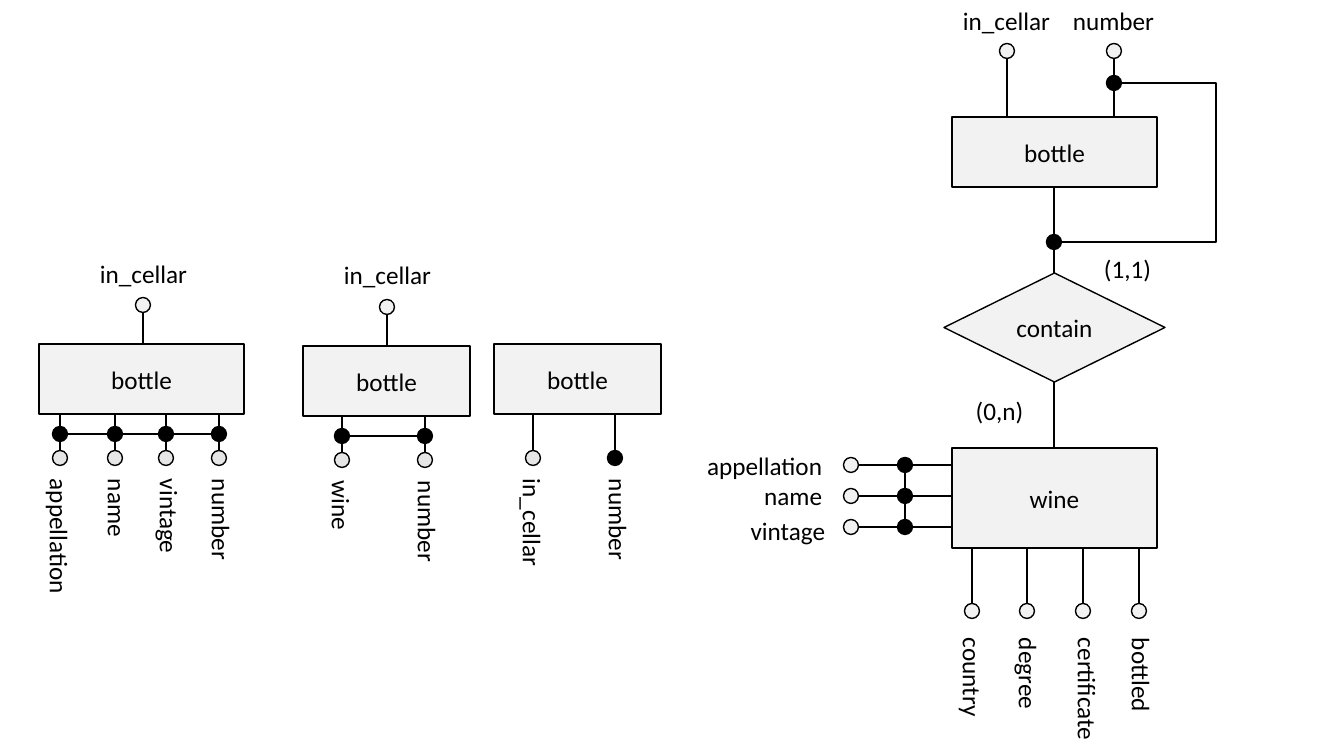
import math
from dataclasses import dataclass, field

from lxml import etree
from pptx import Presentation
from pptx import util as u
from pptx.dml.color import RGBColor
from pptx.enum import shapes, text
from pptx.oxml.ns import qn

EMU_PER_PIXEL = 914400 / 100.8
DOT = 15
LABEL_HEIGHT = 40
Point = tuple[int, int]
CENTER, LEFT, RIGHT = text.PP_ALIGN.CENTER, text.PP_ALIGN.LEFT, text.PP_ALIGN.RIGHT
RECT = shapes.MSO_SHAPE.RECTANGLE
DIAMOND = shapes.MSO_SHAPE.FLOWCHART_DECISION
OVAL = shapes.MSO_SHAPE.OVAL


@dataclass(frozen=True)
class Theme:
    font: str = "Calibri"
    size: u.Pt = u.Pt(18)
    ink: RGBColor = RGBColor(0, 0, 0)
    pale: RGBColor = RGBColor(0xF2, 0xF2, 0xF2)
    gray: RGBColor = RGBColor(0xE7, 0xE6, 0xE6)
    outline: u.Pt = u.Pt(1)
    link: u.Pt = u.Pt(1.5)


THEME = Theme()


@dataclass(frozen=True)
class Node:
    name: str
    left: int
    top: int
    width: int
    height: int
    kind: shapes.MSO_SHAPE = RECT


@dataclass(frozen=True)
class Label:
    """x, y is the top left corner, or the middle of the top end if vertical."""
    name: str
    x: int
    y: int
    width: int
    align: text.PP_ALIGN = CENTER
    vertical: bool = False


@dataclass(frozen=True)
class Attribute:
    edge: Point
    pin: Point
    label: Label
    fill: RGBColor = THEME.pale


@dataclass(frozen=True)
class Diagram:
    nodes: list[Node]
    attributes: list[Attribute]
    keys: list[list[Point]] = field(default_factory=list)
    links: list[tuple[Point, Point]] = field(default_factory=list)
    labels: list[Label] = field(default_factory=list)


def px(pixels: float) -> u.Emu:
    return u.Emu(round(pixels * EMU_PER_PIXEL))


# Drawing functions
def write(box, words: str, align: text.PP_ALIGN) -> None:
    para = box.text_frame.paragraphs[0]
    para.text = words
    para.alignment = align
    para.font.name, para.font.size = THEME.font, THEME.size
    para.font.color.rgb = THEME.ink


def draw_shape(group, kind, left: float, top: float, width: int, height: int, fill: RGBColor):
    shape = group.shapes.add_shape(kind, px(left), px(top), px(width), px(height))
    shape.shadow.inherit = False
    shape.fill.solid()
    shape.fill.fore_color.rgb = fill
    shape.line.color.rgb = THEME.ink
    shape.line.width = THEME.outline
    return shape


def draw_node(group, node: Node) -> None:
    box = draw_shape(group, node.kind, node.left, node.top, node.width, node.height, THEME.pale)
    box.text_frame.vertical_anchor = text.MSO_ANCHOR.MIDDLE
    write(box, node.name, CENTER)


def draw_dot(group, center: Point, fill: RGBColor) -> None:
    draw_shape(group, OVAL, center[0] - DOT / 2, center[1] - DOT / 2, DOT, DOT, fill)


def draw_link(group, start: tuple, end: tuple, kind=shapes.MSO_CONNECTOR.STRAIGHT):
    link = group.shapes.add_connector(kind, *map(px, (*start, *end)))
    link.line.color.rgb = THEME.ink
    link.line.width = THEME.link
    etree.SubElement(link._element.spPr, qn("a:effectLst"))
    return link


def draw_detour(group, start: Point, end: Point, turn_x: int) -> None:
    link = draw_link(group, start, end, shapes.MSO_CONNECTOR.ELBOW)
    bend = round(100000 * (turn_x - start[0]) / (end[0] - start[0]))
    guides = link._element.spPr.find(qn("a:prstGeom")).find(qn("a:avLst"))
    etree.SubElement(guides, qn("a:gd"), name="adj1", fmla=f"val {bend}")


def draw_label(group, label: Label) -> None:
    left, top = label.x, label.y
    if label.vertical:
        left -= label.width / 2
        top += (label.width - LABEL_HEIGHT) / 2
    box = group.shapes.add_textbox(px(left), px(top), px(label.width), px(LABEL_HEIGHT))
    box.rotation = 90 if label.vertical else 0
    box.text_frame.word_wrap = True
    box.text_frame.auto_size = text.MSO_AUTO_SIZE.SHAPE_TO_FIT_TEXT
    write(box, label.name, label.align)


def draw_attribute(group, item: Attribute) -> None:
    share = DOT / 2 / math.dist(item.edge, item.pin)
    rim = tuple(pin + (edge - pin) * share for edge, pin in zip(item.edge, item.pin))
    draw_link(group, item.edge, rim)
    draw_dot(group, item.pin, item.fill)
    draw_label(group, item.label)


def draw_diagram(page, diagram: Diagram):
    group = page.shapes.add_group_shape()
    for start, end in diagram.links:
        draw_link(group, start, end)
    for node in diagram.nodes:
        draw_node(group, node)
    for item in diagram.attributes:
        draw_attribute(group, item)
    for key in diagram.keys:
        if len(key) > 1:
            draw_link(group, key[0], key[-1])
        for point in key:
            draw_dot(group, point, THEME.ink)
    for label in diagram.labels:
        draw_label(group, label)
    return group


# Attributes by the side of the entity they leave from
def above(name: str, x: int, edge: int, pin: int, label_x: int, label_y: int) -> Attribute:
    return Attribute((x, edge), (x, pin), Label(name, label_x, label_y, 127))


def below(name: str, x: int, edge: int, pin: int, label: tuple[int, int, int],
          fill: RGBColor = THEME.gray) -> Attribute:
    return Attribute((x, edge), (x, pin), Label(name, *label, LEFT, True), fill)


def beside(name: str, y: int, label_x: int, label_y: int) -> Attribute:
    return Attribute((952, y), (851, y), Label(name, label_x, label_y, 168, RIGHT))


BOTTLE_BY_NAME = Diagram(
    [Node("bottle", 39, 344, 205, 70)],
    [above("in_cellar", 143, 344, 305, 80, 253),
     below("appellation", 60, 414, 458, (60, 469, 168)),
     below("name", 115, 414, 458, (118, 469, 168)),
     below("vintage", 166, 414, 458, (170, 469, 135)),
     below("number", 219, 414, 458, (222, 469, 175))],
    [[(x, 434) for x in (60, 115, 166, 219)]])

BOTTLE_BY_WINE = Diagram(
    [Node("bottle", 303, 346, 167, 70)],
    [above("in_cellar", 387, 346, 307, 324, 254),
     below("wine", 342, 416, 460, (342, 471, 168)),
     below("number", 425, 416, 460, (428, 471, 175))],
    [[(342, 436), (425, 436)]])

BOTTLE_BY_NUMBER = Diagram(
    [Node("bottle", 494, 344, 167, 70)],
    [below("in_cellar", 533, 414, 458, (533, 469, 168)),
     below("number", 615, 414, 458, (619, 469, 175), THEME.ink)])

CELLAR = Diagram(
    [Node("bottle", 952, 117, 205, 70),
     Node("contain", 944, 273, 221, 109, DIAMOND),
     Node("wine", 952, 448, 205, 100)],
    [above("in_cellar", 1007, 117, 51, 943, 0),
     above("number", 1114, 117, 51, 1050, 0),
     beside("appellation", 465, 664, 445),
     beside("name", 496, 664, 475),
     beside("vintage", 527, 667, 510),
     below("country", 972, 548, 611, (973, 628, 128), THEME.pale),
     below("degree", 1027, 548, 611, (1029, 628, 128), THEME.pale),
     below("certificate", 1083, 548, 611, (1088, 628, 136), THEME.pale),
     below("bottled", 1139, 548, 611, (1142, 628, 128), THEME.pale)],
    keys=[[(905, y) for y in (465, 496, 527)], [(1114, 83)], [(1054, 242)]],
    links=[((1054, 273), (1054, 187)), ((1054, 382), (1054, 448))],
    labels=[Label("(0,n)", 943, 390, 113), Label("(1,1)", 1082, 248, 91)])

# Deck
deck = Presentation()
deck.slide_width, deck.slide_height = px(1344), px(756)
page = deck.slides.add_slide(deck.slide_layouts[6])
for diagram in (BOTTLE_BY_NAME, BOTTLE_BY_WINE, BOTTLE_BY_NUMBER):
    draw_diagram(page, diagram)
cellar = draw_diagram(page, CELLAR)
draw_detour(cellar, (1121, 83), (1062, 242), 1216)
deck.save("out.pptx")
